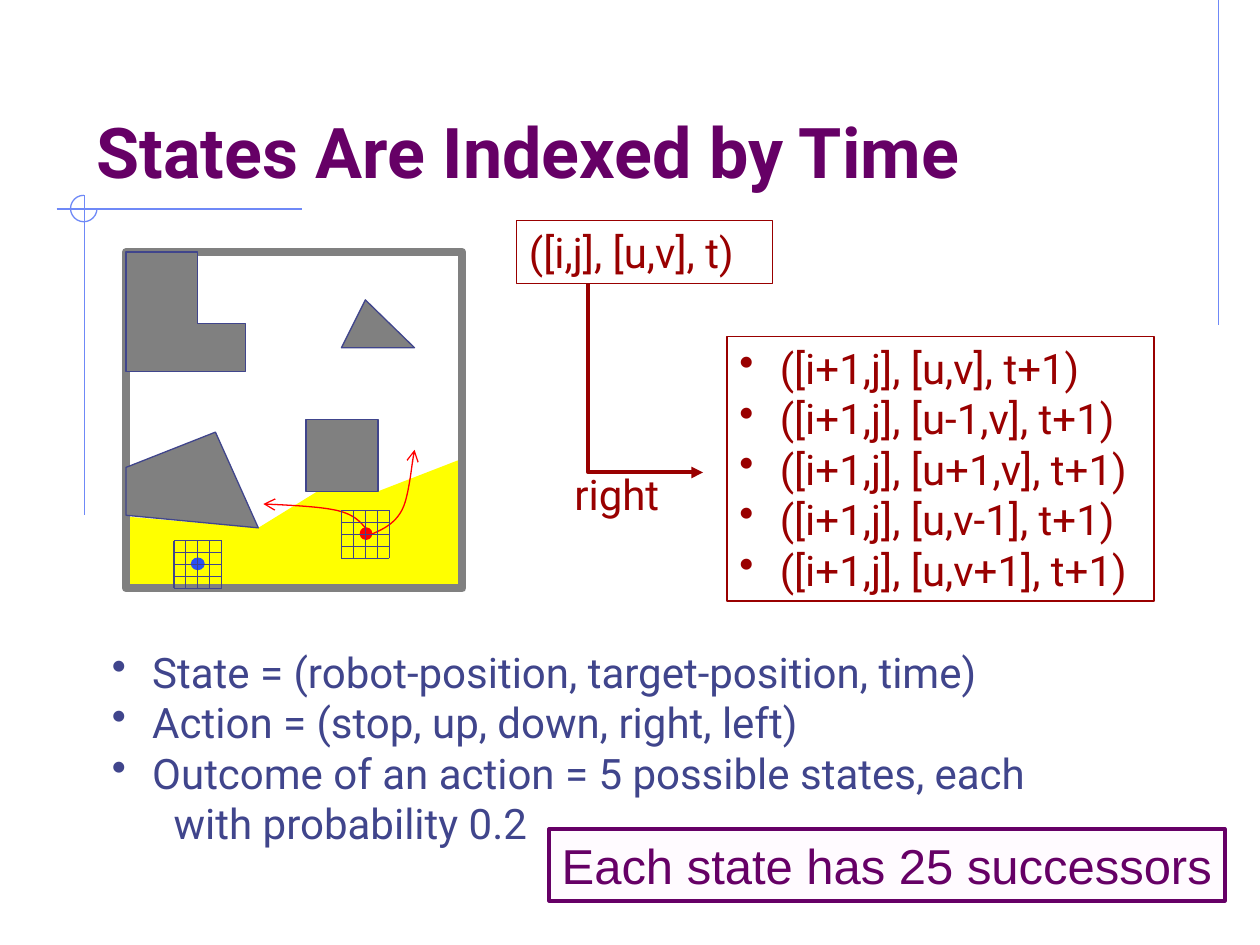
from typing import NamedTuple, Optional

from lxml import etree
from pptx import Presentation
from pptx.dml.color import RGBColor
from pptx.enum.shapes import MSO_CONNECTOR, MSO_SHAPE
from pptx.enum.text import MSO_ANCHOR, PP_ALIGN
from pptx.oxml.ns import qn
from pptx.util import Inches, Pt

RECT, OVAL, ARC = MSO_SHAPE.RECTANGLE, MSO_SHAPE.OVAL, MSO_SHAPE.ARC
STRAIGHT = MSO_CONNECTOR.STRAIGHT
TOP, BOTTOM = MSO_ANCHOR.TOP, MSO_ANCHOR.BOTTOM
LEFT = PP_ALIGN.LEFT
BLUE, NAVY, GRAY, YELLOW = "6F89F7", "40458C", "808080", "FFFF00"
RED, MAROON, PURPLE = "FF0000", "990000", "660066"
HANG, NEST = 0.32, 0.49
FRAME = {
    "word_wrap": True,
    "margin_left": Inches(0.1),
    "margin_right": 0,
    "margin_top": Inches(0.05),
    "margin_bottom": Inches(0.05),
}
Point = tuple[float, float]


class Note(NamedTuple):
    """A block of text, with an optional border."""
    at: tuple[float, float, float, float]
    lines: list[str]
    color: str
    size: int = 24
    face: str = "Roboto"
    bold: bool = False
    list: bool = False
    edge: float = 0
    fill: Optional[str] = None
    anchor: MSO_ANCHOR = TOP


class Form(NamedTuple):
    """An outline through points."""
    points: list[Point]
    fill: Optional[str] = None
    line: Optional[str] = None
    width: float = 0.75
    head: Optional[str] = None


class Grid(NamedTuple):
    """A square grid, given by its top left corner."""
    left: float
    top: float
    side: float = 0.38
    cells: int = 4


def rgb(code: str) -> RGBColor:
    """Turn a hex string into a colour."""
    return RGBColor.from_string(code)


def paint(shape, fill: Optional[str], line: Optional[str], width: float = 0.75) -> None:
    """Set fill and line and drop the shadow."""
    shape.shadow.inherit = False
    if fill:
        shape.fill.solid()
        shape.fill.fore_color.rgb = rgb(fill)
    else:
        shape.fill.background()
    if line:
        shape.line.color.rgb = rgb(line)
        shape.line.width = Pt(width)
    else:
        shape.line.fill.background()


def add_mark(slide, kind: MSO_SHAPE, at: tuple, fill: Optional[str], line: str, width: float = 0.75):
    """Draw a preset shape."""
    shape = slide.shapes.add_shape(kind, *map(Inches, at))
    paint(shape, fill, line, width)
    return shape


def add_line(slide, start: Point, end: Point, color: str) -> None:
    """Draw a thin straight line."""
    line = slide.shapes.add_connector(STRAIGHT, *map(Inches, start + end))
    line.line.color.rgb = rgb(color)
    line.line.width = Pt(0.75)
    etree.SubElement(line._element.spPr, qn("a:effectLst"))


def add_form(slide, form: Form) -> None:
    """Draw an outline, closed when it has a fill."""
    first, *rest = [(Inches(x), Inches(y)) for x, y in form.points]
    pen = slide.shapes.build_freeform(*first)
    pen.add_line_segments(rest, close=form.fill is not None)
    shape = pen.convert_to_shape()
    paint(shape, form.fill, form.line, form.width)
    if form.head:
        etree.SubElement(shape.line._get_or_add_ln(), qn("a:tailEnd"), type=form.head)


def add_grid(slide, grid: Grid) -> None:
    """Draw the lines of a grid."""
    left, top, side, cells = grid
    for i in range(cells + 1):
        step = side * i / cells
        add_line(slide, (left, top + step), (left + side, top + step), NAVY)
        add_line(slide, (left + step, top), (left + step, top + side), NAVY)


def bend(*knots: Point, steps: int = 12) -> list[Point]:
    """Sample a chain of cubic curves."""
    points = [knots[0]]
    for k in range(0, len(knots) - 1, 3):
        for i in range(1, steps + 1):
            t = i / steps
            parts = ((1 - t) ** 3, 3 * t * (1 - t) ** 2, 3 * t * t * (1 - t), t ** 3)
            pairs = list(zip(parts, knots[k:k + 4]))
            points.append((sum(w * p[0] for w, p in pairs), sum(w * p[1] for w, p in pairs)))
    return points


def add_dot(para, color: str) -> None:
    """Give a paragraph a hanging bullet."""
    props = para._p.get_or_add_pPr()
    props.set("marL", str(Inches(HANG)))
    props.set("indent", str(-Inches(HANG)))
    tint = etree.SubElement(props, qn("a:buClr"))
    etree.SubElement(tint, qn("a:srgbClr"), val=color)
    etree.SubElement(props, qn("a:buChar"), char="•")


def add_note(slide, note: Note) -> None:
    """Write a block of text; a tab marks a nested line."""
    if note.edge:
        box = add_mark(slide, RECT, note.at, note.fill, note.color, note.edge)
    else:
        box = slide.shapes.add_textbox(*map(Inches, note.at))
    frame = box.text_frame
    for key, value in {**FRAME, "vertical_anchor": note.anchor}.items():
        setattr(frame, key, value)
    looks = {"name": note.face, "size": Pt(note.size), "bold": note.bold}
    for i, line in enumerate(note.lines):
        para = frame.add_paragraph() if i else frame.paragraphs[0]
        para.alignment = LEFT
        if line.startswith("\t"):
            para._p.get_or_add_pPr().set("marL", str(Inches(NEST)))
        elif note.list:
            add_dot(para, note.color)
        run = para.add_run()
        run.text = line.strip()
        for key, value in looks.items():
            setattr(run.font, key, value)
        run.font.color.rgb = rgb(note.color)


FRAMING = [((9.67, 0), (9.67, 2.58)), ((0.45, 1.66), (2.4, 1.66)), ((0.67, 1.55), (0.67, 4.09))]
FLOOR = Form([(2.05, 4.19), (2.52, 3.9), (3, 3.9), (3.67, 3.64), (3.67, 4.67), (1, 4.67), (1, 4.1)], YELLOW)
BLOCKS = [
    [(2.43, 3.33), (3, 3.33), (3, 3.9), (2.43, 3.9)],
    [(1, 4.09), (2.05, 4.19), (1.71, 3.43), (1, 3.71)],
    [(1, 2.95), (1.95, 2.95), (1.95, 2.57), (1.57, 2.57), (1.57, 2), (1, 2)],
    [(2.9, 2.38), (2.71, 2.76), (3.29, 2.76)],
]
MOVES = [
    bend((2.95, 4.24), (3.04, 4.2), (3.13, 4.16), (3.19, 4.05), (3.25, 3.94), (3.27, 3.65), (3.29, 3.57)),
    bend((2.9, 4.19), (2.85, 4.13), (2.8, 4.08), (2.67, 4.05), (2.53, 4.02), (2.31, 4.01), (2.09, 4)),
]
DOTS = [((1.52, 4.43, 0.1, 0.09), "2B51F3"), ((2.86, 4.19, 0.09, 0.09), RED)]
GRIDS = [Grid(2.71, 4.05), Grid(1.38, 4.29)]
STEP = Form([(4.67, 2.25), (4.67, 3.75), (5.58, 3.75)], None, MAROON, 2.25, "triangle")
NEXT = ["[u,v]", "[u-1,v]", "[u+1,v]", "[u,v-1]", "[u,v+1]"]
NOTES = [
    Note((0.67, 0.33, 8.5, 1.25), ["States Are Indexed by Time"], PURPLE, 40, bold=True, anchor=BOTTOM),
    Note((0.79, 5.08, 7.66, 1.7), [
        "State = (robot-position, target-position, time)",
        "Action = (stop, up, down, right, left)",
        "Outcome of an action = 5 possible states, each",
        "\twith probability 0.2",
    ], NAVY, list=True),
    Note((4.1, 1.75, 2.03, 0.5), ["([i,j], [u,v], t)"], MAROON, edge=0.75),
    Note((5.77, 2.67, 3.39, 2.1), [f"([i+1,j], {spot}, t+1)" for spot in NEXT], MAROON, list=True, edge=0.75),
    Note((4.46, 3.67, 0.95, 0.5), ["right"], MAROON),
    Note((4.36, 6.58, 5.36, 0.57), ["Each state has 25 successors"], PURPLE, 28, "Arial", edge=2.25, fill="FFFBFF"),
]


def main() -> None:
    """Build the slide and save it."""
    deck = Presentation()
    deck.slide_width, deck.slide_height = Inches(10), Inches(7.5)
    slide = deck.slides.add_slide(deck.slide_layouts[6])
    for start, end in FRAMING:
        add_line(slide, start, end, BLUE)
    arc = add_mark(slide, ARC, (0.56, 1.55, 0.21, 0.21), None, BLUE)
    arc.adjustments[0], arc.adjustments[1] = 0, 162
    add_form(slide, FLOOR)
    add_mark(slide, RECT, (1, 2, 2.67, 2.67), None, GRAY, 4.5)
    for points in BLOCKS:
        add_form(slide, Form(points, GRAY, NAVY))
    for at, color in DOTS:
        add_mark(slide, OVAL, at, color, color)
    for points in MOVES:
        add_form(slide, Form(points, None, RED, head="arrow"))
    for grid in GRIDS:
        add_grid(slide, grid)
    for note in NOTES:
        add_note(slide, note)
    add_form(slide, STEP)
    deck.save("out.pptx")


if __name__ == "__main__":
    main()
